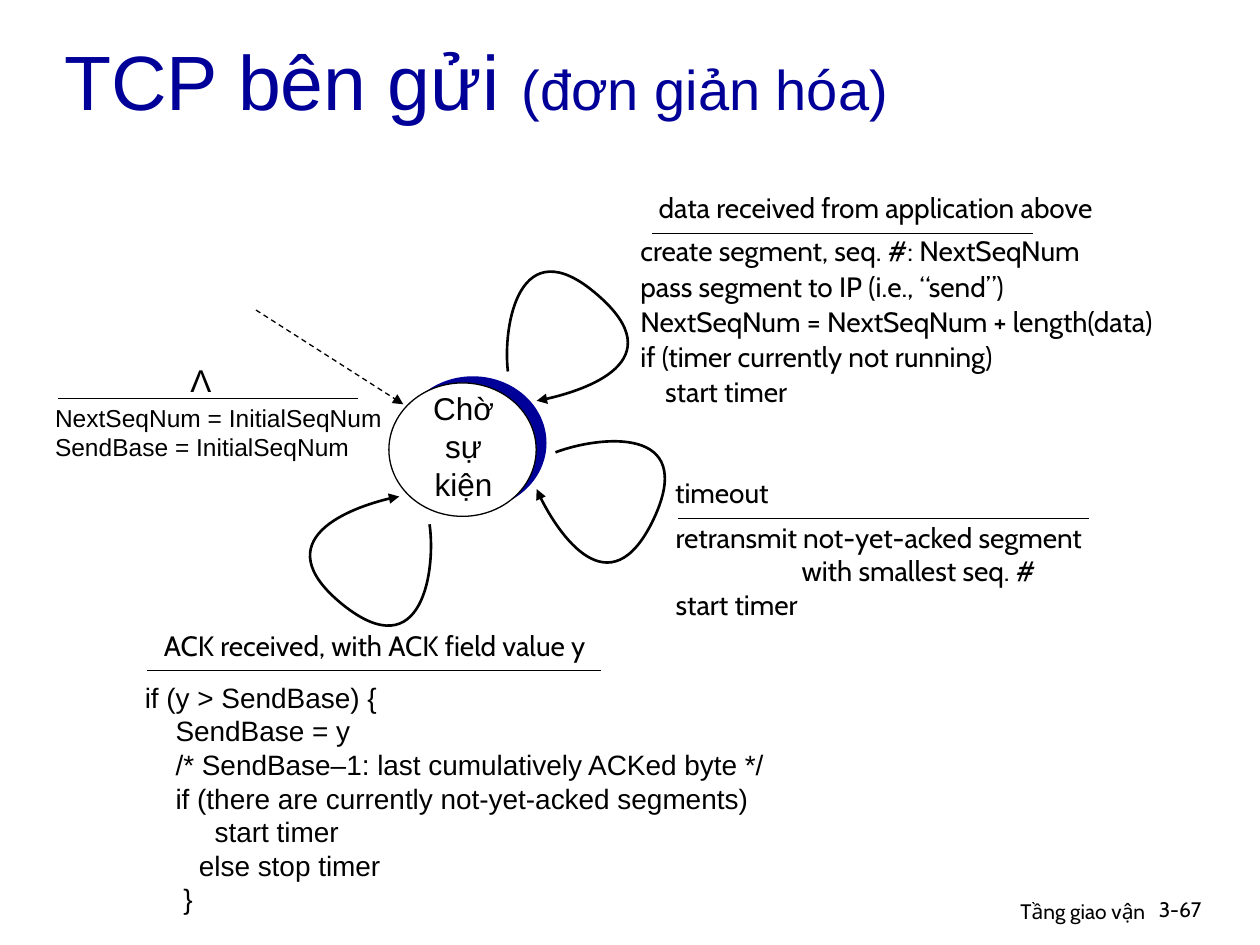
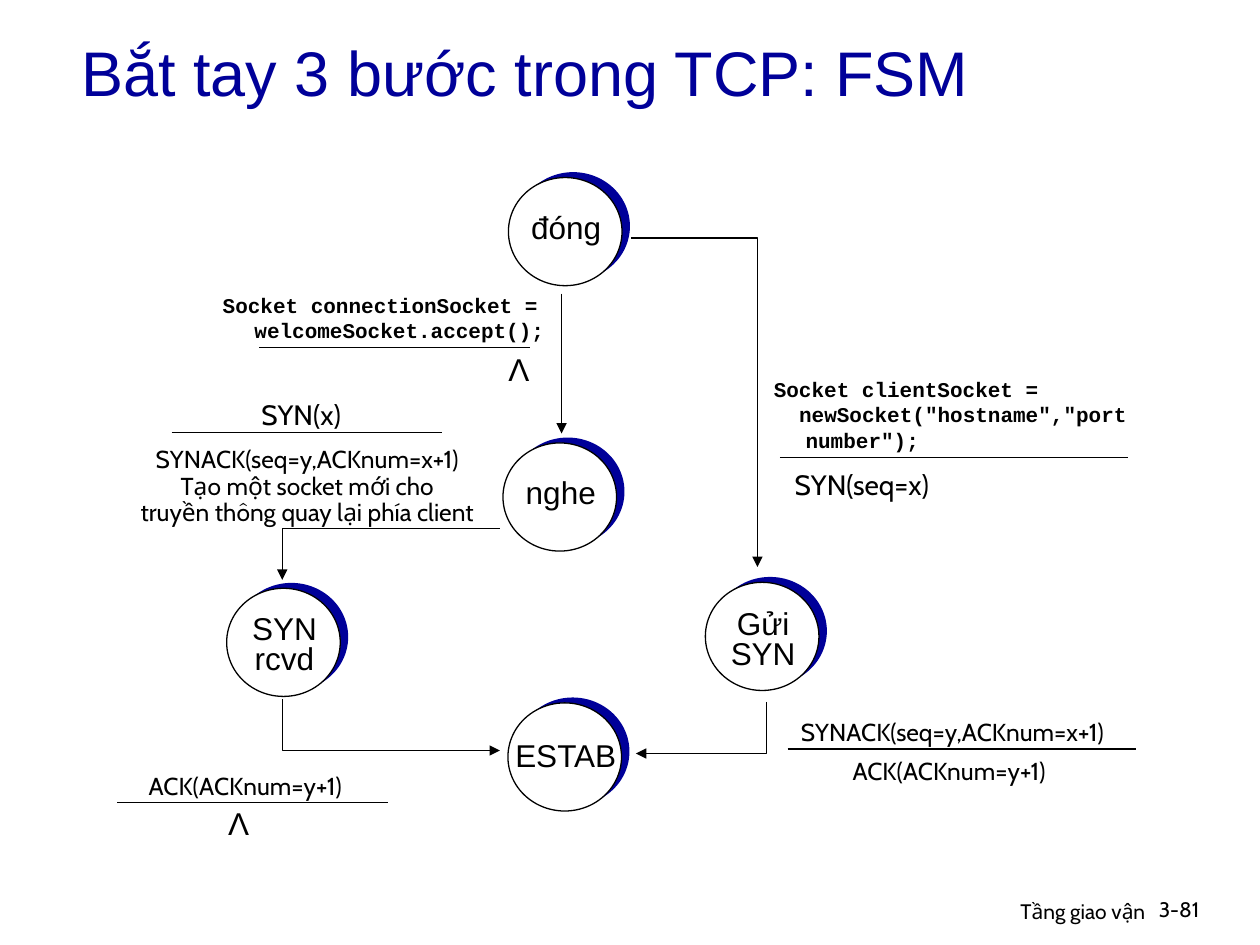
from lxml import etree
from pptx import Presentation
from pptx import util as u
from pptx.dml.color import RGBColor
from pptx.enum import dml, shapes, text
from pptx.oxml.ns import qn

NAVY, BLACK, WHITE = "000099", "000000", "FFFFFF"
SANS, LABEL, CODE = "Arial", "Cabin", "Courier New"
LEFT, CENTER, RIGHT = text.PP_ALIGN.LEFT, text.PP_ALIGN.CENTER, text.PP_ALIGN.RIGHT
SMALL_STATE = (2.29, 2.18)
LAMBDA_SIZE = (0.94, 1.02)
LABEL_HEIGHT = 0.94


def color(value):
    return RGBColor.from_string(value)


def style_span(span, size, font, hue=BLACK, bold=False):
    span.font.size = u.Pt(size)
    span.font.name = font
    span.font.bold = bold
    span.font.color.rgb = color(hue)


def add_text(slide, place, lines, size=16, font=LABEL, align=LEFT,
             spacing=None, bold=False, wrap=False):
    """Each line is a string or (string, left margin, first-line indent) in cm."""
    box = slide.shapes.add_textbox(*map(u.Cm, place))
    frame = box.text_frame
    frame.word_wrap = wrap
    frame.auto_size = text.MSO_AUTO_SIZE.SHAPE_TO_FIT_TEXT
    for index, line in enumerate(lines):
        words, margin, indent = (line, 0, 0) if isinstance(line, str) else line
        para = frame.paragraphs[0] if index == 0 else frame.add_paragraph()
        para.text = words
        para.alignment = align
        if spacing:
            para.line_spacing = spacing
        if margin:
            properties = para._p.get_or_add_pPr()
            properties.set("marL", str(int(u.Cm(margin))))
            properties.set("indent", str(int(u.Cm(indent))))
        for span in para.runs:
            style_span(span, size, font, bold=bold)


def add_label(slide, left, top, width, words):
    add_text(slide, (left, top, width, LABEL_HEIGHT), [words], align=CENTER)


def add_message(slide, place, lines):
    add_text(slide, place, lines, 14, align=CENTER, spacing=0.9)


def add_code(slide, place, lines):
    add_text(slide, place, lines, 12, CODE, bold=True, wrap=True)


def add_lambda(slide, left, top):
    add_text(slide, (left, top, *LAMBDA_SIZE), ["Λ"], 18, SANS, CENTER)


def style_line(shape, width, arrow):
    shape.line.color.rgb = color(BLACK)
    shape.line.width = u.Pt(width)
    if arrow:
        outline = shape.line._get_or_add_ln()
        etree.SubElement(outline, qn("a:tailEnd"), type="triangle")


def add_line(slide, start, end, arrow=False, dashed=False):
    line = slide.shapes.add_connector(
        shapes.MSO_CONNECTOR.STRAIGHT, *map(u.Cm, (*start, *end)))
    if dashed:
        line.line.dash_style = dml.MSO_LINE.DASH
    style_line(line, 0.75, arrow)
    etree.SubElement(line._element.spPr, qn("a:effectLst"))


def add_rule(slide, left, right, top):
    add_line(slide, (left, top), (right, top))


def add_path(slide, points, width=0.75):
    corners = [(u.Cm(x), u.Cm(y)) for x, y in points]
    builder = slide.shapes.build_freeform(*corners[0])
    builder.add_line_segments(corners[1:], close=False)
    path = builder.convert_to_shape()
    path.shadow.inherit = False
    path.fill.background()
    style_line(path, width, arrow=True)
    return path


def add_loop(slide, controls):
    """Turn every three line segments into one cubic curve."""
    path = add_path(slide, controls, 1.5)
    segments = list(path._element.iter(qn("a:lnTo")))
    for first in range(0, len(segments), 3):
        curve = etree.Element(qn("a:cubicBezTo"))
        segments[first].addprevious(curve)
        for segment in segments[first:first + 3]:
            curve.append(segment[0])
            segment.getparent().remove(segment)


def add_state(slide, left, top, lines, drop, size=SMALL_STATE, spacing=None):
    """A white circle over a navy one set off to the upper right, and its name."""
    width, height = size
    shift = (0.07 * width, -0.05 * height)
    for (dx, dy), fill in ((shift, NAVY), ((0, 0), WHITE)):
        circle = slide.shapes.add_shape(
            shapes.MSO_SHAPE.OVAL, *map(u.Cm, (left + dx, top + dy, *size)))
        circle.shadow.inherit = False
        circle.fill.solid()
        circle.fill.fore_color.rgb = color(fill)
        if fill == NAVY:
            circle.line.fill.background()
        else:
            style_line(circle, 0.75, arrow=False)
    add_text(slide, (left - 0.13, top + drop, width + 0.3, 0.8 * len(lines)),
             lines, 18, SANS, CENTER, spacing)


def add_slide(deck, place, title_parts, number):
    slide = deck.slides.add_slide(deck.slide_layouts[5])
    title = slide.shapes.title
    title.left, title.top, title.width, title.height = map(u.Cm, place)
    frame = title.text_frame
    frame.vertical_anchor = text.MSO_ANCHOR.MIDDLE
    frame.auto_size = text.MSO_AUTO_SIZE.NONE
    para = frame.paragraphs[0]
    para.alignment = LEFT
    for words, size in title_parts:
        span = para.add_run()
        span.text = words
        style_span(span, size, SANS, NAVY)
    # Footer
    add_text(slide, (15.29, 17.98, 8.05, 0.79), ["Tầng giao vận"], 12,
             align=RIGHT, wrap=True)
    add_text(slide, (23.11, 17.95, 1.88, 0.76), [number], 12, wrap=True)
    return slide


def build_sender(deck):
    slide = add_slide(deck, (1.04, 0.51, 21.49, 2.18),
                      [("TCP bên gửi ", 44), ("(đơn giản hóa)", 32)], "3-67")
    add_state(slide, 7.84, 7.72, ["Chờ", "sự", "kiện"], 0, (2.97, 2.69))

    # Start
    add_line(slide, (5.16, 6.25), (8.13, 8.15), arrow=True, dashed=True)
    add_lambda(slide, 3.58, 7.15)
    add_rule(slide, 1.17, 7.21, 8.03)
    add_text(slide, (0.86, 7.99, 7.4, 1.45),
             ["NextSeqNum = InitialSeqNum", "SendBase = InitialSeqNum"], 14, SANS)

    # Data from the application
    add_loop(slide, [(10.24, 7.49), (10.13, 6.58), (10.46, 4.57), (12.04, 5.94),
                     (13.61, 7.29), (11.48, 7.98), (10.82, 8.08)])
    add_label(slide, 12.5, 3.71, 10.31, "data received from application above")
    add_rule(slide, 13.14, 20.83, 4.7)
    add_text(slide, (12.66, 4.56, 12.14, 3.8),
             ["create segment, seq. #: NextSeqNum",
              "pass segment to IP (i.e., “send”)",
              "NextSeqNum = NextSeqNum + length(data)",
              "if (timer currently not running)",
              ("start timer", 0.5, 0)], spacing=1.05)

    # Timeout
    add_loop(slide, [(11.2, 9.12), (12.07, 8.79), (14.07, 8.56), (13.18, 10.46),
                     (12.29, 12.34), (11.05, 10.46), (10.82, 9.86)])
    add_label(slide, 13.26, 9.47, 2.59, "timeout")
    add_rule(slide, 13.67, 21.96, 10.45)
    add_text(slide, (13.37, 10.36, 9.14, 2.97),
             ["retransmit not-yet-acked segment",
              ("with smallest seq. #", 2.54, 0),
              "start timer"], wrap=True)

    # Acknowledgement
    add_loop(slide, [(8.66, 10.57), (8.79, 11.46), (8.53, 13.49), (6.91, 12.19),
                     (5.28, 10.87), (7.39, 10.11), (8.05, 10.01)])
    add_label(slide, 2.54, 12.55, 10.03, "ACK received, with ACK field value y")
    add_rule(slide, 2.96, 12.12, 13.51)
    add_text(slide, (2.67, 13.59, 13.03, 5),
             ["if (y > SendBase) {",
              ("SendBase = y", 0.62, 0),
              ("/* SendBase–1: last cumulatively ACKed byte */", 0.62, 0),
              ("if (there are currently not-yet-acked segments)", 0.62, 0),
              ("start timer", 1.41, 0),
              ("else stop timer", 1.09, 0),
              ("}", 0.78, 0)], font=SANS)


def build_handshake(deck):
    slide = add_slide(deck, (1.39, 0.46, 18.49, 1.96),
                      [("Bắt tay 3 bước trong TCP: FSM", 36)], "3-81")
    for left, top, lines, drop, spacing in (
            (10.25, 3.58, ["đóng"], 0.49, None),
            (10.14, 8.93, ["nghe"], 0.49, None),
            (4.57, 11.86, ["SYN", "rcvd"], 0.44, 0.8),
            (14.22, 11.74, ["Gửi", "SYN"], 0.45, 0.8),
            (10.24, 14.17, ["ESTAB"], 0.69, 0.8)):
        add_state(slide, left, top, lines, drop, spacing=spacing)

    # Transitions
    add_line(slide, (11.32, 5.92), (11.32, 8.74), arrow=True)
    for points in (((12.73, 4.8), (15.27, 4.8), (15.27, 11.43)),
                   ((10.08, 10.66), (5.69, 10.66), (5.69, 11.69)),
                   ((5.69, 14.1), (5.69, 15.13), (10.08, 15.13)),
                   ((15.45, 14.15), (15.45, 15.19), (12.82, 15.19))):
        add_path(slide, points)

    # Lines between each event and its action
    for left, right, top in ((5.23, 10.69, 7.01), (3.46, 8.92, 8.72),
                             (2.36, 7.82, 16.18), (15.72, 22.73, 9.22),
                             (15.88, 22.91, 15.1)):
        add_rule(slide, left, right, top)

    # Server side
    add_code(slide, (4.24, 5.77, 7.16, 1.27),
             [("Socket connectionSocket = welcomeSocket.accept();", 0.64, -0.64)])
    add_lambda(slide, 9.99, 6.94)
    add_label(slide, 4.98, 7.88, 2.18, "SYN(x)")
    add_message(slide, (2.18, 8.9, 8.03, 1.9),
                ["SYNACK(seq=y,ACKnum=x+1)", "Tạo một socket mới cho",
                 "truyền thông quay lại phía client"])
    add_message(slide, (2.52, 15.48, 4.85, 0.84), ["ACK(ACKnum=y+1)"])
    add_lambda(slide, 4.34, 16.08)

    # Client side
    add_code(slide, (15.35, 7.47, 8.03, 1.78),
             [("Socket clientSocket =", 0.64, -0.64),
              ('newSocket("hostname","port number");', 0.64, -0.13)])
    add_label(slide, 15.65, 9.31, 3.45, "SYN(seq=x)")
    add_message(slide, (15.57, 14.4, 7.26, 0.84), ["SYNACK(seq=y,ACKnum=x+1)"])
    add_message(slide, (16.71, 15.18, 4.85, 0.84), ["ACK(ACKnum=y+1)"])


def main():
    deck = Presentation()
    deck.slide_width, deck.slide_height = u.Cm(25.4), u.Cm(19.05)
    build_sender(deck)
    build_handshake(deck)
    deck.save("out.pptx")


if __name__ == "__main__":
    main()
